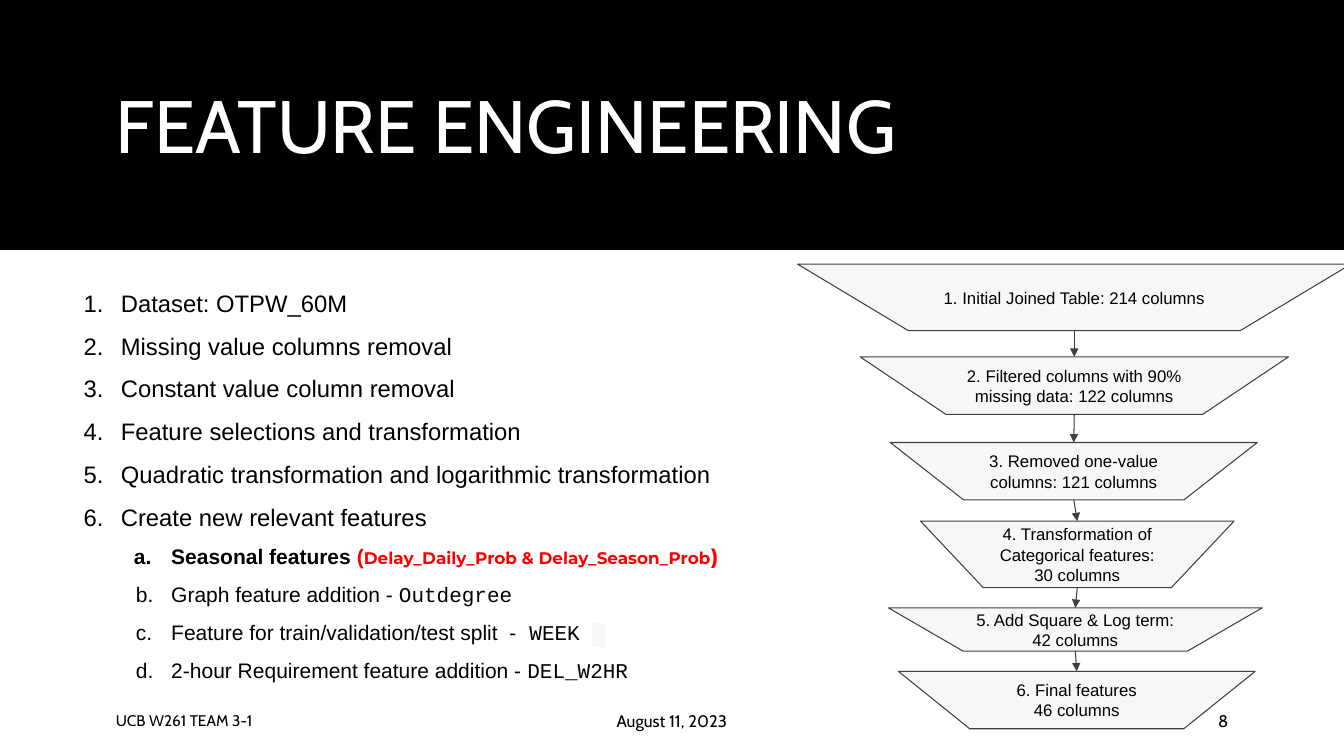
from lxml import etree
from pptx import Presentation
from pptx.dml.color import RGBColor
from pptx.enum.shapes import MSO_CONNECTOR, MSO_SHAPE
from pptx.enum.text import MSO_ANCHOR, PP_ALIGN
from pptx.oxml.ns import qn
from pptx.util import Inches, Pt

RECTANGLE = MSO_SHAPE.RECTANGLE
FUNNEL_STEP = MSO_SHAPE.FLOWCHART_MANUAL_OPERATION
STRAIGHT = MSO_CONNECTOR.STRAIGHT
MIDDLE, TOP = MSO_ANCHOR.MIDDLE, MSO_ANCHOR.TOP
LEFT, CENTER, RIGHT = PP_ALIGN.LEFT, PP_ALIGN.CENTER, PP_ALIGN.RIGHT

SLIDE_W, SLIDE_H = 13.33, 7.5
BAND_H = 2.48
MARGIN, CONTENT_W = 1.05, 11.23
BLACK, WHITE, RED, GREY = "000000", "FFFFFF", "FF0000", "3F3F3F"
STEP_FILL, CODE_INK, CODE_FILL = "F8F7F5", "333333", "F6F8FA"
BODY, HEADING, CODE, ACCENT = "Arial", "Cabin", "Courier New", "Montserrat"

TOPICS = [
    "Dataset: OTPW_60M",
    "Missing value columns removal",
    "Constant value column removal",
    "Feature selections and transformation",
    "Quadratic transformation and logarithmic transformation",
    "Create new relevant features",
]
# Each new feature is a list of (text, format) runs
NEW_FEATURES = [
    [("Seasonal features ", {"bold": True}),
     ("(", {"bold": True, "color": RED}),
     ("Delay_Daily_Prob & Delay_Season_Prob",
      {"bold": True, "color": RED, "font": ACCENT, "size": 12}),
     (")", {"bold": True, "color": RED, "font": ACCENT})],
    [("Graph feature addition - ", {}), ("Outdegree", {"font": CODE})],
    [("Feature for train/validation/test split  -", {}),
     (" WEEK ", {"font": CODE}),
     (" ", {"font": CODE, "color": CODE_INK, "highlight": CODE_FILL})],
    [("2-hour Requirement feature addition - ", {}),
     ("DEL_W2HR", {"font": CODE})],
]
# Left, top, width, height inside the funnel, then the lines of text
FUNNEL_STEPS = [
    (0, 0, 5.49, 0.66, ["1. Initial Joined Table: 214 columns"]),
    (0.62, 0.92, 4.25, 0.57,
     ["2. Filtered columns with 90% missing data: 122 columns"]),
    (0.92, 1.77, 3.64, 0.57, ["3. Removed one-value columns: 121 columns"]),
    (1.22, 2.55, 3.11, 0.66,
     ["4. Transformation of Categorical features:", "30 columns"]),
    (0.9, 3.41, 3.71, 0.43, ["5. Add Square & Log term:", "42 columns"]),
    (1, 4.04, 3.54, 0.57, ["6. Final features", "46 columns"]),
]


def rgb(value):
    return RGBColor.from_string(value)


def inches(*lengths):
    return [Inches(length) for length in lengths]


def add_run(paragraph, text, font=BODY, size=12, color=BLACK, bold=False,
            highlight=None):
    run = paragraph.add_run()
    run.text = text
    run.font.name, run.font.size, run.font.bold = font, Pt(size), bold
    run.font.color.rgb = rgb(color)
    if highlight:
        mark = etree.Element(qn("a:highlight"))
        etree.SubElement(mark, qn("a:srgbClr"), val=highlight)
        run.font._element.find(qn("a:latin")).addprevious(mark)


def write_text(frame, lines, align=LEFT, anchor=MIDDLE, inset=0.1,
               spacing=None, **run_format):
    """Fill a text frame with one paragraph for each line."""
    frame.word_wrap = True
    frame.vertical_anchor = anchor
    frame.margin_left = frame.margin_right = Inches(0.1)
    frame.margin_top = frame.margin_bottom = Inches(inset)
    for index, line in enumerate(lines):
        paragraph = frame.add_paragraph() if index else frame.paragraphs[0]
        paragraph.alignment = align
        if spacing:
            paragraph.line_spacing = spacing
        runs = [(line, {})] if isinstance(line, str) else line
        for text, changes in runs:
            add_run(paragraph, text, **{**run_format, **changes})


def number_paragraph(paragraph, scheme, indent, hanging, level):
    paragraph.level = level
    props = paragraph._p.get_or_add_pPr()
    props.set("marL", str(Inches(indent)))
    props.set("indent", str(-Inches(hanging)))
    bullet_color = etree.SubElement(props, qn("a:buClr"))
    etree.SubElement(bullet_color, qn("a:srgbClr"), val=BLACK)
    etree.SubElement(props, qn("a:buFont"), typeface=BODY)
    etree.SubElement(props, qn("a:buAutoNum"), type=scheme)


def add_header(slide, left, top, width, height):
    # Black band, placed behind the title
    band = slide.shapes.add_shape(RECTANGLE, *inches(left, top, width, height))
    band.shadow.inherit = False
    band.fill.solid()
    band.fill.fore_color.rgb = rgb(BLACK)
    band.line.fill.background()
    title = slide.shapes.title
    title._element.addprevious(band._element)
    title.left, title.top, title.width, title.height = inches(
        left + MARGIN, top + 0.35, CONTENT_W, 1.86)
    write_text(title.text_frame, ["FEATURE ENGINEERING"], inset=0.05,
               spacing=0.9, font=HEADING, size=53, color=WHITE)


def add_footer(slide, left, top, width, height):
    side_w, number_w = 3.54, 1.02
    parts = [
        ("UCB W261 TEAM 3-1", left, side_w, LEFT, 11),
        ("August 11, 2023", left + (width - side_w) / 2, side_w, CENTER, 12),
        ("8", left + width - number_w, number_w, RIGHT, 12),
    ]
    for text, part_left, part_w, align, size in parts:
        box = slide.shapes.add_textbox(*inches(part_left, top, part_w, height))
        write_text(box.text_frame, [text], align=align, inset=0.05,
                   font=HEADING, size=size)


def add_topics(slide, left, top, width, height):
    box = slide.shapes.add_textbox(*inches(left, top, width, height))
    topics = [[(topic, {"size": 17})] for topic in TOPICS]
    write_text(box.text_frame, topics + NEW_FEATURES, anchor=TOP,
               spacing=1.5, size=15)
    for index, paragraph in enumerate(box.text_frame.paragraphs):
        if index < len(TOPICS):
            number_paragraph(paragraph, "arabicPeriod", 0.5, 0.37, 0)
        else:
            hanging = 0.37 if index == len(TOPICS) else 0.35
            number_paragraph(paragraph, "alphaLcPeriod", 1, hanging, 1)


def add_arrow(slide, upper, lower):
    arrow = slide.shapes.add_connector(STRAIGHT, 0, 0, 0, 0)
    arrow.begin_connect(upper, 2)
    arrow.end_connect(lower, 0)
    arrow.line.color.rgb = rgb(GREY)
    arrow.line.width = Pt(0.75)
    etree.SubElement(arrow.line._get_or_add_ln(), qn("a:tailEnd"),
                     type="triangle")
    etree.SubElement(arrow._element.spPr, qn("a:effectLst"))


def add_funnel(slide, left, top):
    previous = None
    for step_left, step_top, width, height, lines in FUNNEL_STEPS:
        step = slide.shapes.add_shape(
            FUNNEL_STEP, *inches(left + step_left, top + step_top,
                                 width, height))
        step.shadow.inherit = False
        step.fill.solid()
        step.fill.fore_color.rgb = rgb(STEP_FILL)
        step.line.color.rgb = rgb(GREY)
        step.line.width = Pt(0.75)
        write_text(step.text_frame, lines, align=CENTER)
        if previous is not None:
            add_arrow(slide, previous, step)
        previous = step


def main():
    deck = Presentation()
    deck.slide_width, deck.slide_height = inches(SLIDE_W, SLIDE_H)
    slide = deck.slides.add_slide(deck.slide_layouts[5])
    add_header(slide, 0, 0, SLIDE_W, BAND_H)
    add_footer(slide, MARGIN, 6.95, CONTENT_W, 0.4)
    add_topics(slide, 0.6, 2.62, 6.99, 4.33)
    add_funnel(slide, 7.91, 2.62)
    deck.save("out.pptx")


if __name__ == "__main__":
    main()
